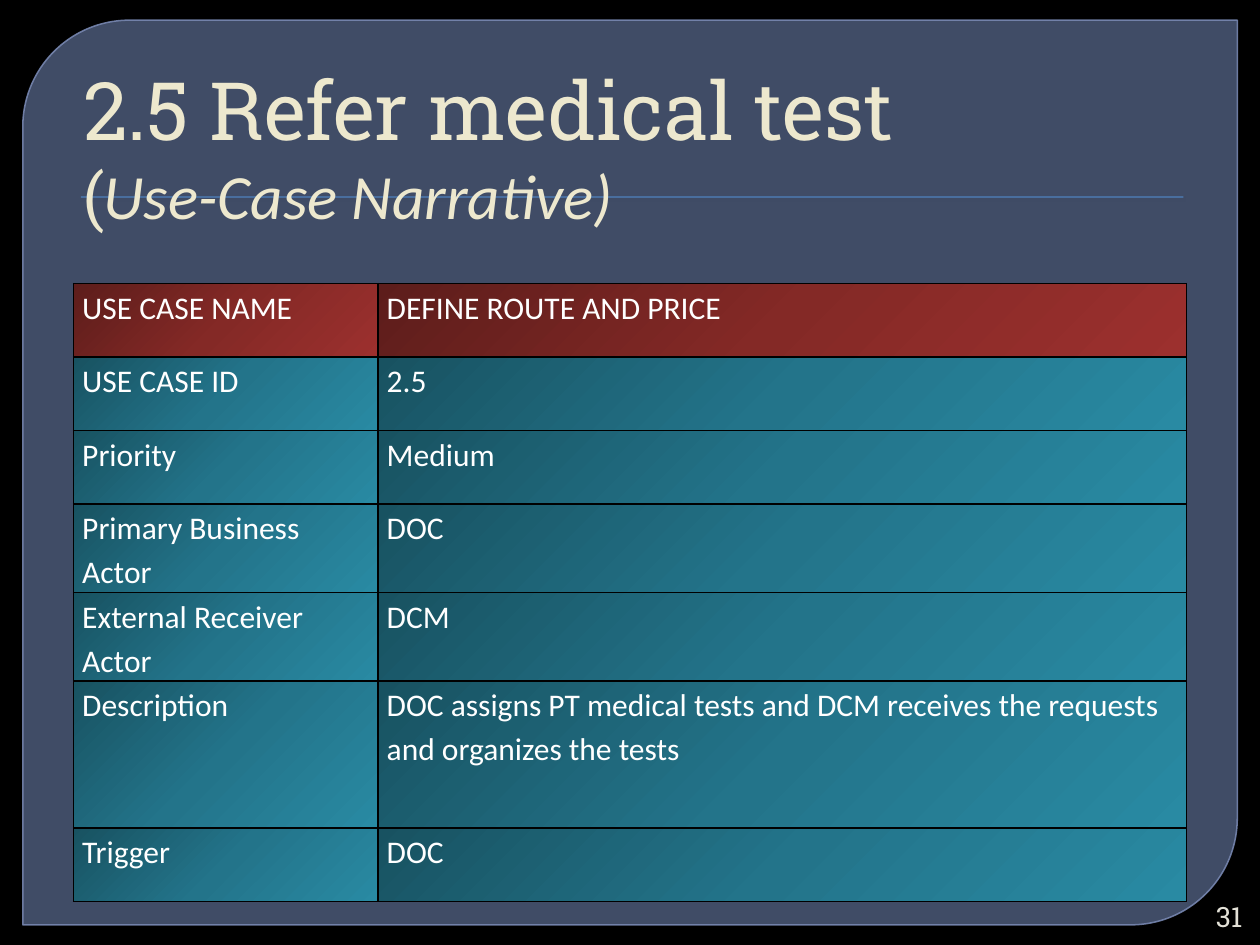
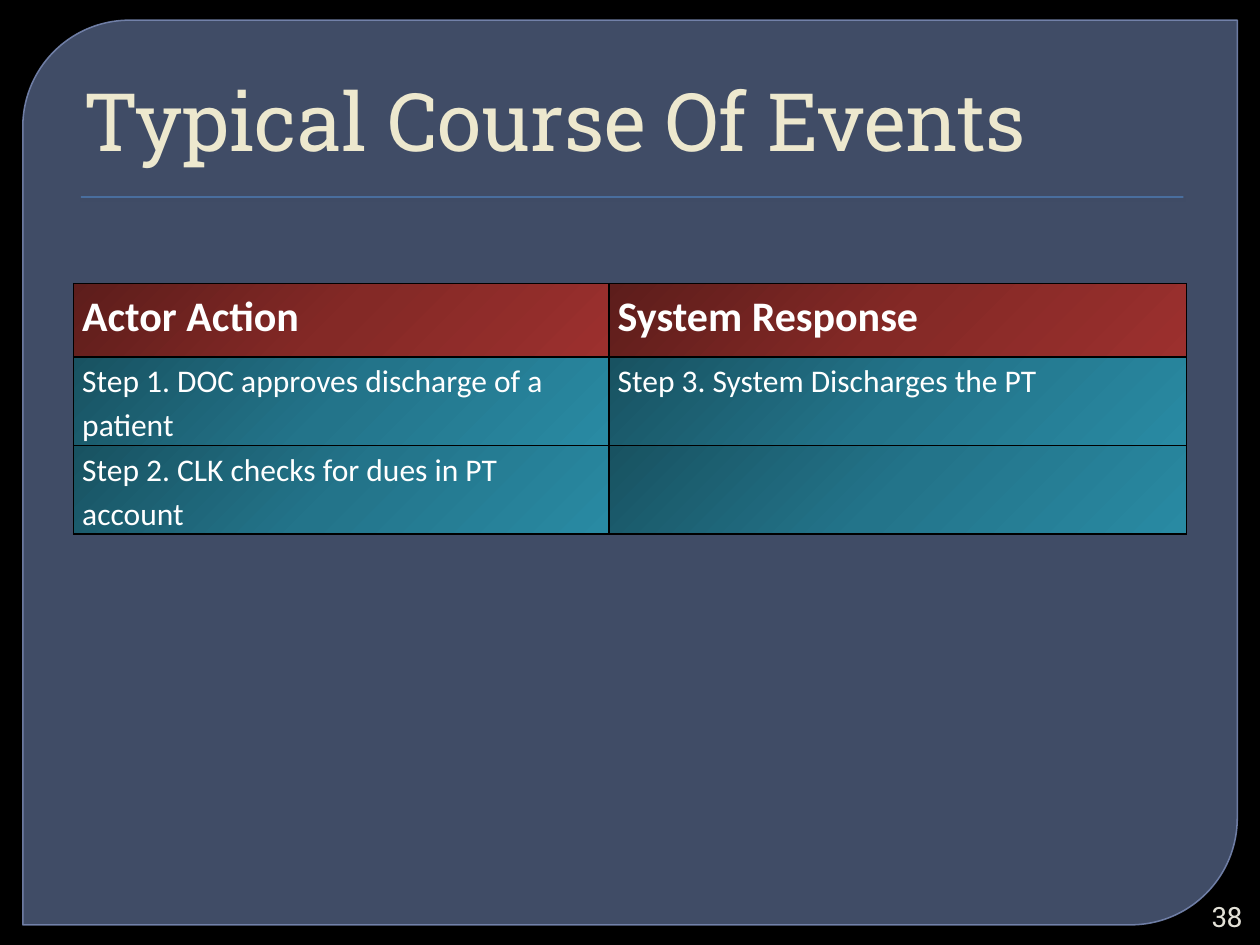
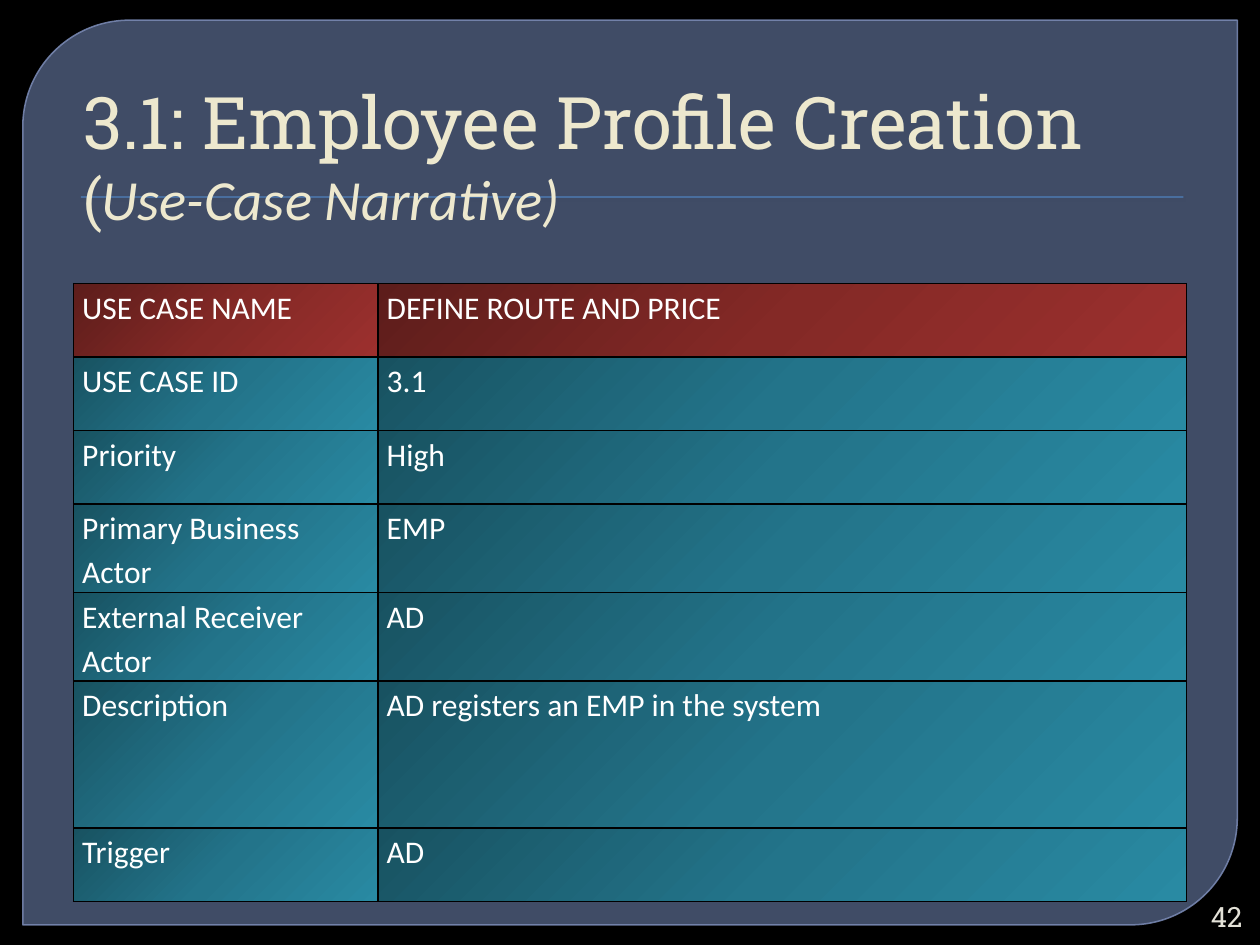
import pptx
import pptx.util
import pptx.dml.color
import pptx.enum.shapes
import pptx.enum.text
import pptx.oxml.ns
from lxml import etree

Pt = pptx.util.Pt
RGBColor = pptx.dml.color.RGBColor
Anchor = pptx.enum.text.MSO_ANCHOR
Align = pptx.enum.text.PP_ALIGN
Preset = pptx.enum.shapes.MSO_SHAPE
qn = pptx.oxml.ns.qn

BLACK = RGBColor(0x00, 0x00, 0x00)
WHITE = RGBColor(0xFF, 0xFF, 0xFF)
CREAM = RGBColor(0xED, 0xE8, 0xCE)
PALE = RGBColor(0xE3, 0xE1, 0xD7)
PANEL = RGBColor(0x63, 0x75, 0x9D)
PANEL_EDGE = RGBColor(0x79, 0x89, 0xB3)
RULE = RGBColor(0x4F, 0x81, 0xBD)
REDS = (RGBColor(0x5D, 0x1D, 0x1B), RGBColor(0x84, 0x29, 0x26), RGBColor(0x9C, 0x30, 0x2E))
TEALS = (RGBColor(0x18, 0x52, 0x61), RGBColor(0x23, 0x74, 0x8A), RGBColor(0x29, 0x8A, 0xA3))

SERIF = "Roboto Slab"
SANS = "Calibri"
ROW_HEIGHT = 42
TABLE_LEFT, TABLE_TOP = 42, 162
CELL_FONT = {"name": SANS, "size": Pt(18), "bold": False}
HEADING_FONT = {"name": SANS, "size": Pt(24), "bold": True}
NARRATIVE_LABELS = ["USE CASE NAME", "USE CASE ID", "Priority", "Primary Business Actor",
                    "External Receiver Actor", "Description", "Trigger"]
TALL_ROWS = {"Description": 2}


def narrative(number, heading, sizes, values):
    return {
        "number": number, "heading": heading, "sizes": sizes,
        "subtitle": ("(", "Use-Case Narrative)"),
        "title_box": (36, 20, 648, 112.5),
        "columns": (174, 462), "header": CELL_FONT,
        "rows": list(zip(NARRATIVE_LABELS, values)),
    }


PAGES = [
    narrative("31", "2.5 Refer medical test", (46, 36), [
        "DEFINE ROUTE AND PRICE", "2.5", "Medium", "DOC", "DCM",
        "DOC assigns PT medical tests and DCM receives the requests and organizes the tests",
        "DOC"]),
    {
        "number": "38", "heading": "Typical Course Of Events", "sizes": (46,),
        "subtitle": (),
        "title_box": (36, 18, 648, 78),
        "columns": (306, 330), "header": HEADING_FONT,
        "rows": [
            ("Actor Action", "System Response"),
            ("Step 1. DOC approves discharge of a patient", "Step 3. System Discharges the PT"),
            ("Step 2. CLK checks for dues in PT account", ""),
        ],
    },
    narrative("42", "3.1: Employee Profile Creation", (41.4, 32.4), [
        "DEFINE ROUTE AND PRICE", "3.1", "High", "EMP", "AD",
        "AD registers an EMP in the system", "AD"]),
]


def apply(target, values):
    for name, value in values.items():
        setattr(target, name, value)


def add_xml(parent, tag, **attributes):
    return etree.SubElement(parent, qn(tag), {key: str(value) for key, value in attributes.items()})


def add_span(para, text, color, values):
    span = para.add_run()
    span.text = text
    apply(span.font, values)
    span.font.color.rgb = color


def add_backdrop(page):
    page.background.fill.solid()
    page.background.fill.fore_color.rgb = BLACK

    panel = page.shapes.add_shape(Preset.ROUND_2_DIAG_RECTANGLE, Pt(13), Pt(11.5), Pt(694), Pt(517))
    panel.adjustments[0] = 0.118
    panel.adjustments[1] = 0
    panel.fill.solid()
    panel.fill.fore_color.rgb = PANEL
    panel.line.color.rgb = PANEL_EDGE
    panel.line.width = Pt(0.87)
    panel.shadow.inherit = False
    for color, percent in zip(panel.element.iter(qn("a:srgbClr")), (65, 88)):
        add_xml(color, "a:alpha", val=percent * 1000)

    rule = page.shapes.add_shape(Preset.RECTANGLE, Pt(46.25), Pt(112.25), Pt(630), Pt(0.75))
    rule.fill.solid()
    rule.fill.fore_color.rgb = RULE
    rule.line.fill.background()
    rule.shadow.inherit = False
    effects = rule.element.spPr.find(qn("a:effectLst"))
    shadow = add_xml(effects, "a:outerShdw", blurRad=Pt(1), dist=Pt(1), dir=90 * 60000)
    add_xml(add_xml(shadow, "a:srgbClr", val=BLACK), "a:alpha", val=75000)


def fill_title(page, content):
    title = page.shapes.title
    title.element.getparent().append(title.element)
    left, top, width, height = map(Pt, content["title_box"])
    apply(title, {"left": left, "top": top, "width": width, "height": height})
    apply(title.text_frame, {
        "margin_left": Pt(11.5), "margin_top": 0, "margin_bottom": 0, "word_wrap": True,
        "vertical_anchor": Anchor.BOTTOM, "auto_size": pptx.enum.text.MSO_AUTO_SIZE.NONE})
    para = title.text_frame.paragraphs[0]
    para.alignment = Align.LEFT
    sizes = content["sizes"]
    add_span(para, content["heading"], CREAM, {"name": SERIF, "size": Pt(sizes[0])})
    if content["subtitle"]:
        bracket, words = content["subtitle"]
        para.add_line_break()
        add_span(para, bracket, CREAM, {"name": SERIF, "size": Pt(sizes[1])})
        add_span(para, words, CREAM, {"name": SANS, "size": Pt(sizes[1]), "italic": True})


def style_cell(cell, shades):
    apply(cell, {"margin_left": Pt(5), "margin_right": Pt(5), "margin_top": 0, "margin_bottom": 0})
    properties = cell._tc.get_or_add_tcPr()
    for side in ("a:lnL", "a:lnR", "a:lnT", "a:lnB"):
        border = add_xml(properties, side, w=Pt(1))
        add_xml(add_xml(border, "a:solidFill"), "a:srgbClr", val=BLACK)
    gradient = add_xml(properties, "a:gradFill", rotWithShape=1)
    stops = add_xml(gradient, "a:gsLst")
    for position, shade in zip((0, 50, 100), shades):
        add_xml(add_xml(stops, "a:gs", pos=position * 1000), "a:srgbClr", val=shade)
    add_xml(gradient, "a:lin", ang=45 * 60000, scaled=0)


def add_grid(page, content):
    rows, columns = content["rows"], content["columns"]
    heights = [ROW_HEIGHT * TALL_ROWS.get(row[0], 1) for row in rows]
    table = page.shapes.add_table(len(rows), len(columns), Pt(TABLE_LEFT), Pt(TABLE_TOP),
                                  Pt(sum(columns)), Pt(sum(heights))).table
    apply(table, {"first_row": False, "horz_banding": False})
    for column, width in zip(table.columns, columns):
        column.width = Pt(width)
    for index, (row, height) in enumerate(zip(rows, heights)):
        table.rows[index].height = Pt(height)
        for position, text in enumerate(row):
            cell = table.cell(index, position)
            style_cell(cell, TEALS if index else REDS)
            para = cell.text_frame.paragraphs[0]
            para.line_spacing = 1.15
            if text:
                add_span(para, text, WHITE, CELL_FONT if index else content["header"])


def add_number(page, number):
    box = page.shapes.add_textbox(Pt(680.5), Pt(512.5), Pt(36.5), Pt(22))
    apply(box.text_frame, {
        "word_wrap": True, "vertical_anchor": Anchor.MIDDLE,
        "margin_left": 0, "margin_right": Pt(7.2), "margin_top": 0, "margin_bottom": 0})
    para = box.text_frame.paragraphs[0]
    para.alignment = Align.RIGHT
    add_span(para, number, PALE, {"name": SERIF, "size": Pt(16)})


def main():
    deck = pptx.Presentation()
    apply(deck, {"slide_width": Pt(720), "slide_height": Pt(540)})
    for content in PAGES:
        page = deck.slides.add_slide(deck.slide_layouts[5])
        add_backdrop(page)
        fill_title(page, content)
        add_grid(page, content)
        add_number(page, content["number"])
    deck.save("out.pptx")


if __name__ == "__main__":
    main()
